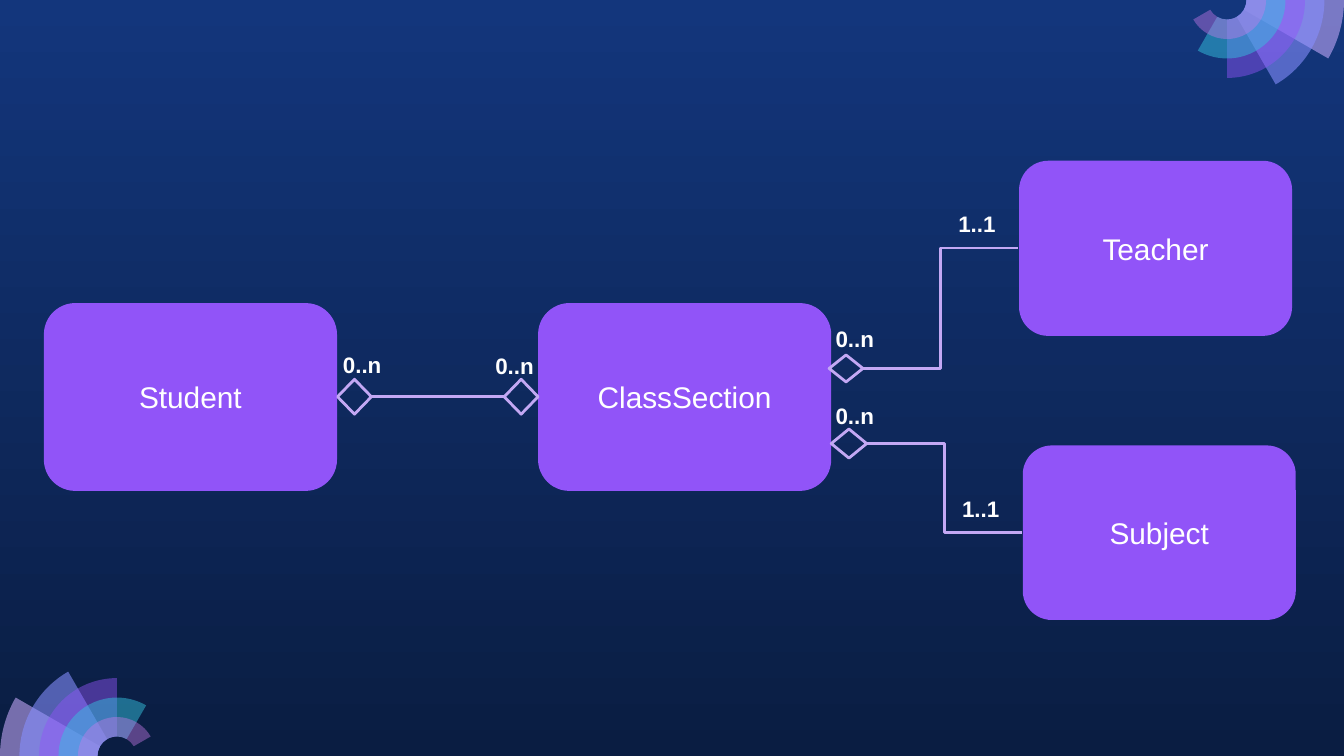
"""Build a class diagram slide of students, class sections, teachers and subjects."""
from math import cos, radians, sin, tan

from lxml.etree import SubElement
from pptx import Presentation
from pptx.dml.color import RGBColor
from pptx.enum.shapes import MSO_CONNECTOR, MSO_SHAPE
from pptx.enum.text import MSO_ANCHOR, PP_ALIGN
from pptx.oxml.ns import qn
from pptx.util import Cm, Pt


def rgb(value):
    return RGBColor.from_string(value)


def write(frame, text, size, bold=False):
    frame.word_wrap = True
    paragraph = frame.paragraphs[0]
    paragraph.alignment = PP_ALIGN.CENTER
    run = paragraph.add_run()
    run.text = text
    run.font.name = "Arial"
    run.font.size = Pt(size)
    run.font.bold = bold
    run.font.color.rgb = rgb("FFFFFF")


PURPLE, LILAC = "9154F8", "C3A8F4"
deck = Presentation()
deck.slide_width, deck.slide_height = Cm(25.4), Cm(14.29)
slide = deck.slides.add_slide(deck.slide_layouts[6])
shapes = slide.shapes

backdrop = slide.background.fill
backdrop.gradient()
backdrop.gradient_angle = 270
for stop, color in zip(backdrop.gradient_stops, ("13367C", "0A1D42")):
    stop.color.rgb = rgb(color)

ring = 2.21 / 6
petals = [("C8ACFD", 57), ("878FFF", 58), (PURPLE, 46), ("35C2DF", 49), ("CA7BEB", 42)]
for center_x, center_y, side in [(2.21, 14.29, -1), (23.19, 0, 1)]:
    for index, (color, opacity) in enumerate(petals):
        sweep = 30 * (index + 1)
        turns = [0, sweep] if sweep <= 90 else [0, 90, sweep]
        points = []
        for radius, angles in [((6 - index) * ring, turns), (ring, turns[::-1])]:
            arc = [(radius, 0, radians(angles[0]))]
            for start, end in zip(map(radians, angles), map(radians, angles[1:])):
                pull = radius * 4 / 3 * tan((end - start) / 4)
                arc += [(radius, pull, start), (radius, -pull, end), (radius, 0, end)]
            points += [
                (
                    Cm(center_x + side * (r * cos(a) - t * sin(a))),
                    Cm(center_y + side * (r * sin(a) + t * cos(a))),
                )
                for r, t, a in arc
            ]
        builder = shapes.build_freeform(*points[0])
        builder.add_line_segments(points[1:])
        petal = builder.convert_to_shape()
        outline = petal._element.find(".//" + qn("a:path"))
        segments = outline.findall(qn("a:lnTo"))
        half = len(points) // 2
        for first in [*range(0, half - 1, 3), *range(half, len(segments), 3)]:
            curve = outline.makeelement(qn("a:cubicBezTo"))
            segments[first].addprevious(curve)
            for segment in segments[first:first + 3]:
                curve.append(segment[0])
                outline.remove(segment)
        petal.shadow.inherit = False
        petal.line.fill.background()
        petal.fill.solid()
        petal.fill.fore_color.rgb = rgb(color)
        tint = petal.fill._xPr.find(qn("a:solidFill"))[0]
        SubElement(tint, qn("a:alpha"), val=str(opacity * 1000))

entities = [
    ("Student", 0.83, 5.73, 5.54, 3.55),
    ("ClassSection", 10.17, 5.73, 5.54, 3.55),
    ("Teacher", 19.26, 3.04, 5.16, 3.31),
    ("Subject", 19.33, 8.42, 5.16, 3.3),
]
for name, *place in entities:
    entity = shapes.add_shape(MSO_SHAPE.ROUNDED_RECTANGLE, *map(Cm, place))
    entity.shadow.inherit = False
    entity.fill.solid()
    entity.fill.fore_color.rgb = rgb(PURPLE)
    entity.line.fill.background()
    entity.text_frame.vertical_anchor = MSO_ANCHOR.MIDDLE
    write(entity.text_frame, name, 16)

aggregations = [
    (6.38, 7.17, 0.64, 0.66),
    (9.53, 7.17, 0.64, 0.66),
    (15.67, 6.71, 0.64, 0.51),
    (15.71, 8.11, 0.67, 0.55),
]
for place in aggregations:
    diamond = shapes.add_shape(MSO_SHAPE.DIAMOND, *map(Cm, place))
    diamond.shadow.inherit = False
    diamond.fill.background()
    diamond.line.color.rgb = rgb(LILAC)
    diamond.line.width = Pt(1.5)

relations = [
    (MSO_CONNECTOR.STRAIGHT, 7.02, 7.5, 9.53, 7.5),
    (MSO_CONNECTOR.ELBOW, 16.31, 6.96, 19.24, 4.69),
    (MSO_CONNECTOR.ELBOW, 16.38, 8.38, 19.32, 10.07),
]
for kind, *ends in relations:
    relation = shapes.add_connector(kind, *map(Cm, ends))
    relation.line.color.rgb = rgb(LILAC)
    relation.line.width = Pt(1.5)
    SubElement(relation._element.spPr, qn("a:effectLst"))

multiplicities = [
    ("0..n", 6.17, 6.51),
    ("0..n", 9.05, 6.53),
    ("0..n", 15.48, 6.02),
    ("0..n", 15.48, 7.47),
    ("1..1", 17.79, 3.85),
    ("1..1", 17.86, 9.23),
]
for text, left, top in multiplicities:
    label = shapes.add_textbox(Cm(left), Cm(top), Cm(1.35), Cm(0.77))
    write(label.text_frame, text, 12, bold=True)

deck.save("out.pptx")
